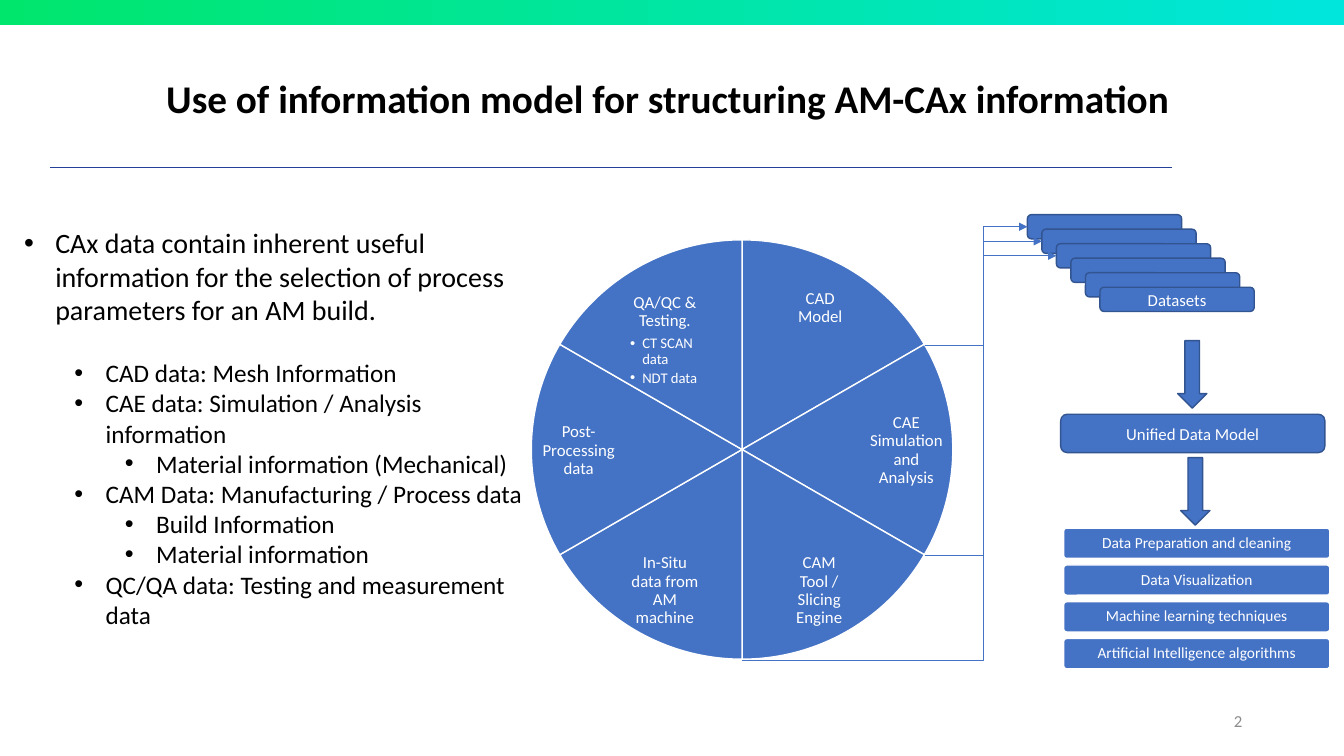
import lxml.etree
import pptx
import pptx.dml.color
import pptx.enum.shapes
import pptx.enum.text
import pptx.oxml.ns
import pptx.util

Inches = pptx.util.Inches
Pt = pptx.util.Pt
RGBColor = pptx.dml.color.RGBColor
SHAPE = pptx.enum.shapes.MSO_SHAPE
CONNECTOR = pptx.enum.shapes.MSO_CONNECTOR
ALIGN = pptx.enum.text.PP_ALIGN
ANCHOR = pptx.enum.text.MSO_ANCHOR
qn = pptx.oxml.ns.qn

BLUE = RGBColor(0x44, 0x72, 0xC4)
DARK_BLUE = RGBColor(0x32, 0x54, 0x91)
RULE_BLUE = RGBColor(0x23, 0x41, 0x98)
GREEN = RGBColor(0x00, 0xE6, 0x6C)
CYAN = RGBColor(0x00, 0xE6, 0xDC)
GREY = RGBColor(0x8C, 0x8C, 0x8C)
BLACK = RGBColor(0, 0, 0)
WHITE = RGBColor(255, 255, 255)

prs = pptx.Presentation()
prs.slide_width, prs.slide_height = Inches(13.33), Inches(7.5)
slide = prs.slides.add_slide(prs.slide_layouts[6])
shapes = slide.shapes


def add_blue_shape(kind, x, y, w, h, line):
    s = shapes.add_shape(kind, Inches(x), Inches(y), Inches(w), Inches(h))
    s.shadow.inherit = False
    s.fill.solid()
    s.fill.fore_color.rgb = BLUE
    s.line.color.rgb = line
    s.line.width = Pt(1)
    s.text_frame.vertical_anchor = ANCHOR.MIDDLE
    return s


def add_para(tf, text, size, color, align=ALIGN.CENTER, margin=None, hang=0.31):
    """Write one paragraph; a margin in inches makes it a bullet."""
    p = tf.add_paragraph() if tf.text else tf.paragraphs[0]
    if margin is not None:
        pPr = p._p.get_or_add_pPr()
        pPr.set("marL", str(Inches(margin)))
        pPr.set("indent", str(-Inches(hang)))
        lxml.etree.SubElement(pPr, qn("a:buFont")).set("typeface", "Arial")
        lxml.etree.SubElement(pPr, qn("a:buChar")).set("char", "•")
    p.alignment = align
    r = p.add_run()
    r.text = text
    r.font.name, r.font.size, r.font.color.rgb = "Calibri", Pt(size), color
    return p


# Top bar, title, rule and slide number
bar = shapes.add_shape(SHAPE.RECTANGLE, 0, 0, prs.slide_width, Inches(0.25))
bar.shadow.inherit = False
bar.line.fill.background()
bar.fill.gradient()
bar.fill.gradient_angle = 0
for stop, color, position in zip(bar.fill.gradient_stops, (GREEN, CYAN), (0, 1)):
    stop.color.rgb = color
    stop.position = position

title = shapes.add_textbox(Inches(0.99), Inches(0.69), Inches(11.26), Inches(0.57))
title.text_frame.word_wrap = True
p = add_para(title.text_frame, "Use of information model for structuring AM-CAx information", 28, BLACK)
p.runs[0].font.bold = True

rule = shapes.add_connector(CONNECTOR.STRAIGHT, Inches(0.5), Inches(1.66), Inches(11.62), Inches(1.66))
rule.line.color.rgb = RULE_BLUE
connectors = [rule]

number = shapes.add_textbox(Inches(9.42), Inches(6.95), Inches(3), Inches(0.4))
number.text_frame.vertical_anchor = ANCHOR.MIDDLE
number.text_frame.word_wrap = True
add_para(number.text_frame, "2", 12, GREY, ALIGN.RIGHT)

# Bullet list: level, text
bullets = [
    (0, "CAx data contain inherent useful information for the selection of process parameters for an AM build."),
    (1, "CAD data: Mesh Information"),
    (1, "CAE data: Simulation / Analysis information"),
    (2, "Material information (Mechanical)"),
    (1, "CAM Data: Manufacturing / Process data"),
    (2, "Build Information"),
    (2, "Material information"),
    (1, "QC/QA data: Testing and measurement data"),
]
tf = shapes.add_textbox(0, Inches(2.19), Inches(5.46), Inches(4.2)).text_frame
tf.word_wrap = True
for i, (level, text) in enumerate(bullets):
    p = add_para(tf, text, 18 if level else 20, BLACK, ALIGN.LEFT, 0.45 + 0.5 * level)
    if i == 1:
        p.space_before = Pt(22)

# Wheel of six sectors, clockwise from the top: label, text left, text middle, text width
sectors = [
    ("CAD Model", 7.79, 3.06, 0.69),
    ("CAE Simulation and Analysis", 8.62, 4.47, 0.74),
    ("CAM Tool / Slicing Engine", 7.78, 5.86, 0.69),
    ("In-Situ data from AM machine", 6.25, 5.86, 0.69),
    ("Post-Processing data", 5.37, 4.47, 0.74),
    ("QA/QC & Testing.", 6.25, 3.37, 0.69),
]
for i, (label, x, middle, w) in enumerate(sectors):
    wedge = add_blue_shape(SHAPE.PIE, 5.27, 2.38, 4.18, 4.16, WHITE)
    # Pie angles are stored in 1/60000 degree, adjustments in 1/100000
    wedge.adjustments[0] = (270 + 60 * i) % 360 * 0.6
    wedge.adjustments[1] = (330 + 60 * i) % 360 * 0.6
for label, x, middle, w in sectors:
    s = shapes.add_textbox(Inches(x), Inches(middle - 0.45), Inches(w), Inches(0.9))
    tf = s.text_frame
    tf.word_wrap = True
    tf.vertical_anchor = ANCHOR.MIDDLE
    tf.margin_left = tf.margin_right = tf.margin_top = tf.margin_bottom = 0
    add_para(tf, label, 12, WHITE).line_spacing = 0.9
tf.vertical_anchor = ANCHOR.TOP
tf.paragraphs[0].space_after = Pt(4)
for text in ("CT SCAN data", "NDT data"):
    p = add_para(tf, text, 10.5, WHITE, ALIGN.LEFT, 0.12, 0.12)
    p.line_spacing = 0.9
    p.space_after = Pt(2)

# Stack of datasets and the elbows that lead to it
datasets = [
    add_blue_shape(SHAPE.ROUNDED_RECTANGLE, 10.19 + 0.144 * i, 2.13 + 0.144 * i, 1.53, 0.24, DARK_BLUE)
    for i in range(6)
]
add_para(datasets[-1].text_frame, "Datasets", 12, WHITE)

LANE = 9.75
for (x, y), dataset in zip([(9.17, 3.43), (9.17, 5.51), (7.36, 6.55)], datasets):
    s = shapes.add_connector(CONNECTOR.ELBOW, Inches(x), Inches(y), dataset.left, dataset.top)
    s.end_connect(dataset, 1)
    s.line.color.rgb = BLUE
    bend = round((Inches(LANE) - s.begin_x) / (s.end_x - s.begin_x) * 100000)
    guide = lxml.etree.SubElement(s._element.spPr.prstGeom.get_or_add_avLst(), qn("a:gd"))
    guide.set("name", "adj1")
    guide.set("fmla", f"val {bend}")
    lxml.etree.SubElement(s.line._get_or_add_ln(), qn("a:tailEnd")).set("type", "triangle")
    connectors.append(s)
for s in connectors:
    s.line.width = Pt(0.5)
    lxml.etree.SubElement(s._element.spPr, qn("a:effectLst"))

# Unified model and the steps that follow
for x, y in ((11.68, 3.38), (11.71, 4.54)):
    add_blue_shape(SHAPE.DOWN_ARROW, x, y, 0.29, 0.67, DARK_BLUE)
model = add_blue_shape(SHAPE.ROUNDED_RECTANGLE, 10.52, 4.11, 2.62, 0.38, DARK_BLUE)
add_para(model.text_frame, "Unified Data Model", 12, WHITE)

steps = [
    "Data Preparation and cleaning",
    "Data Visualization",
    "Machine learning techniques",
    "Artificial Intelligence algorithms",
]
for i, text in enumerate(steps):
    s = add_blue_shape(SHAPE.ROUNDED_RECTANGLE, 10.55, 5.24 + 0.365 * i, 2.64, 0.3, WHITE)
    s.adjustments[0] = 0.1
    add_para(s.text_frame, text, 11, WHITE).line_spacing = 0.9

prs.save("out.pptx")
